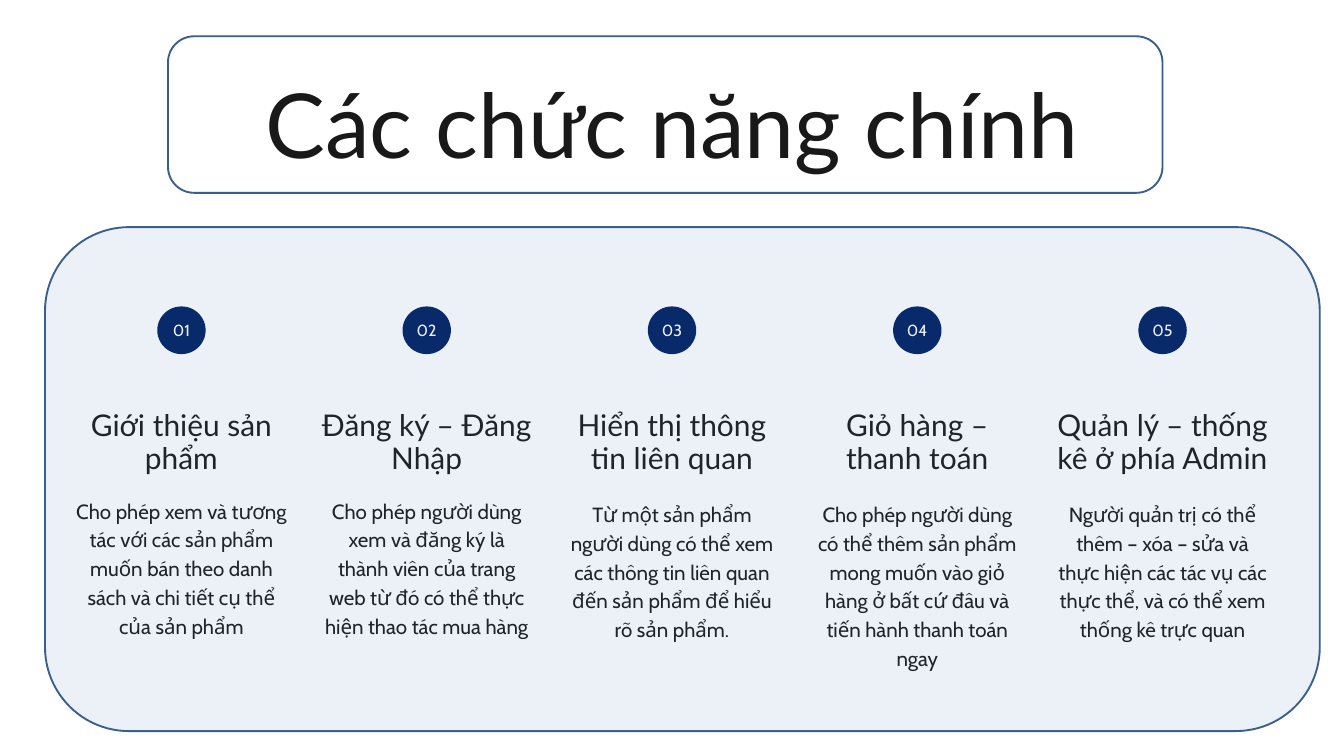
"""Builds the slide listing the five main functions of the system."""
from lxml import etree
from pptx import Presentation
from pptx import util as u
from pptx.dml.color import RGBColor
from pptx.enum import shapes, text
from pptx.oxml.ns import qn


def color(value):
    return RGBColor.from_string(value)


def add_text(s, words, left, top, width, height, font, size, spacing, fill="191919"):
    box = s.shapes.add_textbox(u.Inches(left), u.Inches(top), u.Inches(width), u.Inches(height))
    tf = box.text_frame
    tf.word_wrap = True
    tf.auto_size = text.MSO_AUTO_SIZE.SHAPE_TO_FIT_TEXT
    tf.margin_left = tf.margin_top = tf.margin_right = tf.margin_bottom = 0
    p = tf.paragraphs[0]
    p.text = words
    p.alignment = text.PP_ALIGN.CENTER
    p.line_spacing = u.Pt(spacing)
    p.font.name = font
    p.font.size = u.Pt(size)
    p.font.color.rgb = color(fill)


FUNCTIONS = [
    ("Giới thiệu sản phẩm", 7.36, 2.17,
     "Cho phép xem và tương tác với các sản phẩm muốn bán theo danh sách và chi tiết cụ thể của sản phẩm"),
    ("Đăng ký – Đăng Nhập", 7.36, 2.17,
     "Cho phép người dùng xem và đăng ký là thành viên của trang web từ đó có thể thực hiện thao tác mua hàng"),
    ("Hiển thị thông tin liên quan", 7.41, 2.17,
     "Từ một sản phẩm người dùng có thể xem các thông tin liên quan đến sản phẩm để hiểu rõ sản phẩm."),
    ("Giỏ hàng – thanh toán", 7.41, 2.61,
     "Cho phép người dùng có thể thêm sản phẩm mong muốn vào giỏ hàng ở bất cứ đâu và tiến hành thanh toán ngay"),
    ("Quản lý – thống kê ở phía Admin", 7.41, 2.17,
     "Người quản trị có thể thêm – xóa – sửa và thực hiện các tác vụ các thực thể, và có thể xem thống kê trực quan"),
]
PITCH = 3.65
FIRST_CENTER = 2.7
COLUMN_WIDTH = 3.14

prs = Presentation()
prs.slide_width = u.Inches(20)
prs.slide_height = u.Inches(11.25)
s = prs.slides.add_slide(prs.slide_layouts[6])

add_text(s, "Các chức năng chính", 1.41, 1.12, 17.18, 1.5, "Lato", 96, 108)

for i, (heading, body_top, body_height, body) in enumerate(FUNCTIONS):
    center = FIRST_CENTER + i * PITCH
    left = center - COLUMN_WIDTH / 2
    sp = s.shapes.add_shape(shapes.MSO_SHAPE.OVAL, u.Inches(center - 0.36), u.Inches(4.56),
                            u.Inches(0.72), u.Inches(0.71))
    sp.shadow.inherit = False
    sp.fill.solid()
    sp.fill.fore_color.rgb = color("002060")
    sp.line.fill.background()
    add_text(s, f"{i + 1:02}", center - 0.2, 4.77, 0.4, 0.3, "Cabin", 17.3, 20.7, "FFFFFF")
    add_text(s, heading, left, 6.1, COLUMN_WIDTH, 0.98, "Lato", 32, 35.2)
    add_text(s, body, left, body_top, COLUMN_WIDTH, body_height, "Cabin", 22, 30.8)

for left, top, width, height, tinted in [(0.67, 3.38, 18.97, 7.5, True),
                                         (2.5, 0.54, 14.8, 2.33, False)]:
    sp = s.shapes.add_shape(shapes.MSO_SHAPE.ROUNDED_RECTANGLE, u.Inches(left), u.Inches(top),
                            u.Inches(width), u.Inches(height))
    sp.shadow.inherit = False
    sp.line.color.rgb = color("3A5F8C")
    sp.line.width = u.Pt(2)
    if tinted:
        sp.fill.solid()
        sp.fill.fore_color.rgb = color("4F81BD")
        srgb = sp.fill._xPr.find(qn("a:solidFill")).find(qn("a:srgbClr"))
        etree.SubElement(srgb, qn("a:alpha"), val="11000")
    else:
        sp.fill.background()

prs.save("out.pptx")
